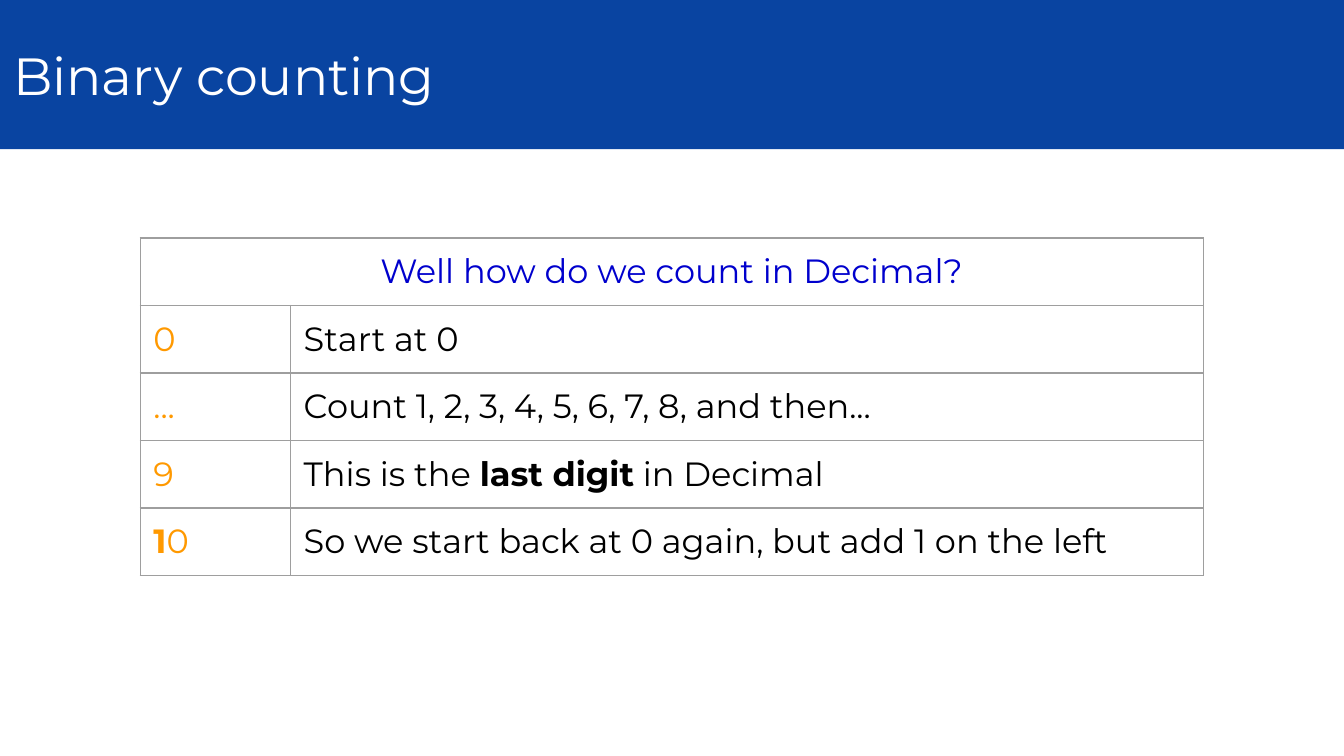
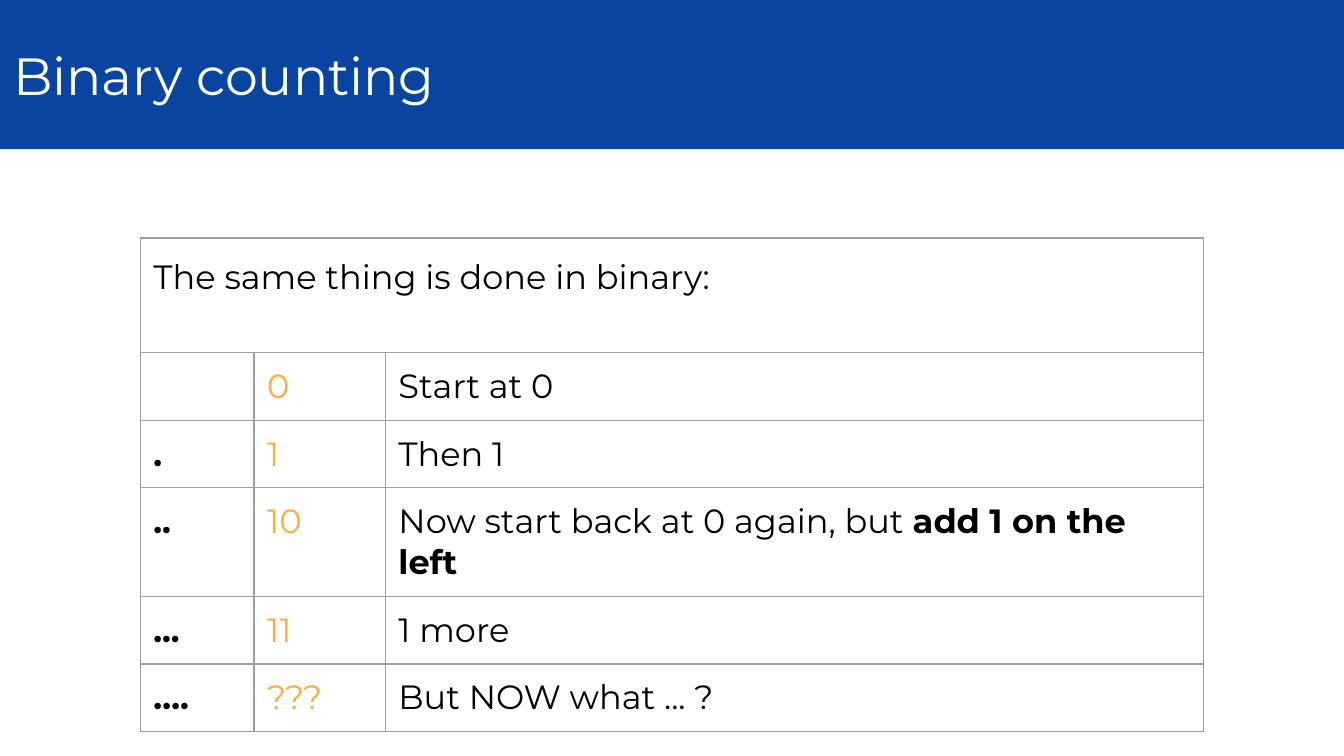
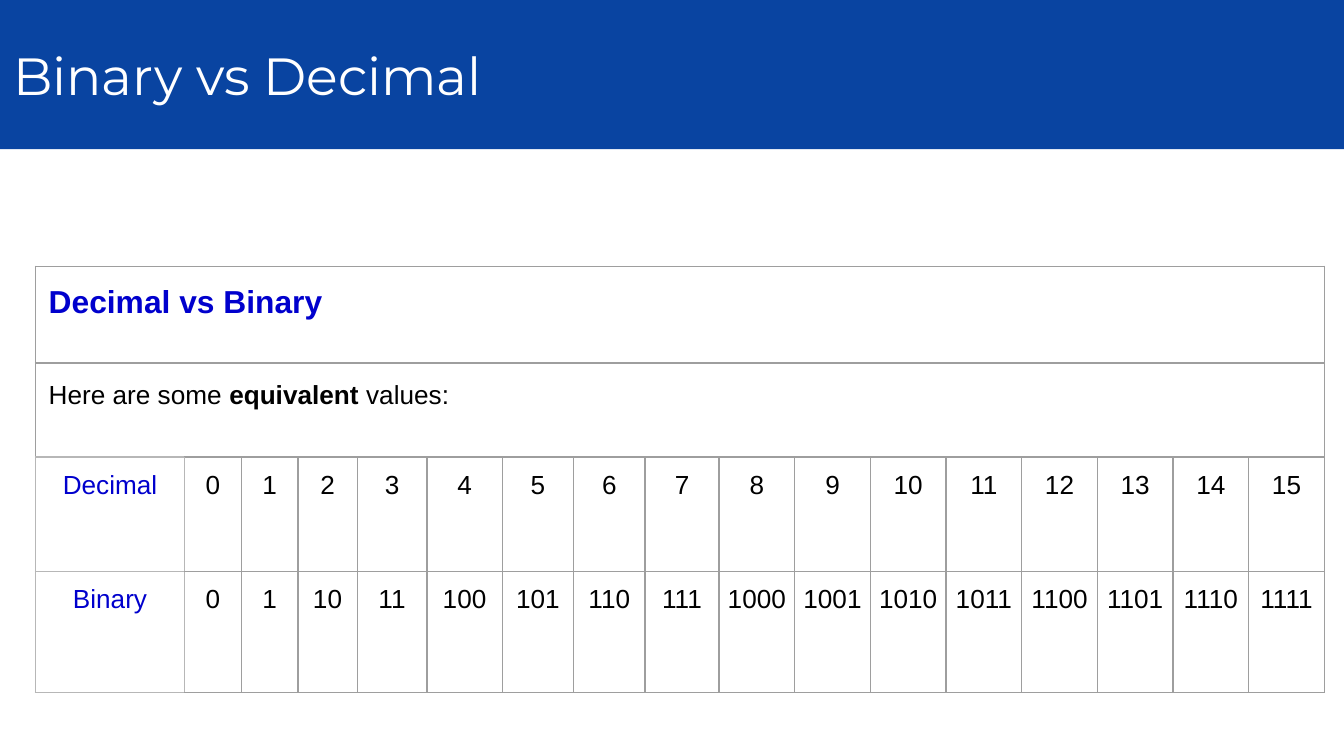
from lxml import etree
from pptx import Presentation
from pptx.dml.color import RGBColor
from pptx.enum.shapes import MSO_SHAPE
from pptx.enum.text import MSO_ANCHOR, PP_ALIGN
from pptx.oxml.ns import qn
from pptx.util import Cm, Pt

RECTANGLE = MSO_SHAPE.RECTANGLE
MIDDLE = MSO_ANCHOR.MIDDLE
LEFT, CENTER = PP_ALIGN.LEFT, PP_ALIGN.CENTER

BAND_BLUE, WHITE, BLACK = "0944A1", "FFFFFF", "000000"
HEADING_BLUE, ORANGE, LIGHT_ORANGE = "0000CD", "FF9900", "FFAB40"
GRAY, LIGHT_GRAY = "9E9E9E", "B7B7B7"
SIDES = ("lnL", "lnR", "lnT", "lnB")
SLIDE_WIDTH, SLIDE_HEIGHT, BAND_HEIGHT = 25.4, 14.29, 2.82
INSET = 0.25
ROW_HEIGHT = 1.07

# A cell is a string, or a list of (text, bold) spans.
DECIMAL_HEADING = "Well how do we count in Decimal?"
DECIMAL_STEPS = [
    ("0", "Start at 0"),
    ("...", "Count 1, 2, 3, 4, 5, 6, 7, 8, and then..."),
    ("9", [("This is the ", False), ("last digit", True), (" in Decimal", False)]),
    ([("1", True), ("0", False)], "So we start back at 0 again, but add 1 on the left"),
]
BINARY_HEADING = "The same thing is done in binary:"
BINARY_STEPS = [
    ("", "0", "Start at 0"),
    (".", "1", "Then 1"),
    ("..", "10", [("Now start back at 0 again, but ", False), ("add 1 on the left", True)]),
    ("...", "11", "1 more"),
    ("….", "???", "But NOW what ... ?"),
]
VALUES_HEADING = "Decimal vs Binary"
VALUES_INTRO = [("Here are some ", False), ("equivalent", True), (" values:", False)]
VALUES = [
    ["Decimal"] + [str(number) for number in range(16)],
    ["Binary"] + [format(number, "b") for number in range(16)],
]
DECIMAL_COLUMNS = [2.84, 17.25]
BINARY_COLUMNS = [2.15, 2.48, 15.46]
VALUE_COLUMNS = [2.82, 1.07, 1.07, 1.12, 1.32, 1.42, 1.35, 1.35, 1.4] + [1.43] * 8
VALUE_ROWS = [1.83, 1.78, 2.16, 2.29]


def rgb(colour):
    return RGBColor.from_string(colour)


def write(holder, content, size=18, font="Montserrat", colour=BLACK, bold=False,
          align=LEFT, spacing=None):
    """Write a string or a list of (text, bold) spans into a shape or a cell."""
    para = holder.text_frame.paragraphs[0]
    para.alignment = align
    if spacing:
        para.line_spacing = spacing
    spans = [(content, bold)] if isinstance(content, str) else content
    for text, is_bold in spans:
        span = para.add_run()
        span.text = text
        span.font.size = Pt(size)
        span.font.name = font
        span.font.bold = is_bold
        span.font.color.rgb = rgb(colour)


def set_insets(holder, side=INSET):
    holder.margin_left = holder.margin_right = Cm(side)
    holder.margin_top = holder.margin_bottom = Cm(INSET)


def set_borders(cell, **changes):
    """Draw the four cell borders in gray, or in the colour given for a side."""
    properties = cell._tc.get_or_add_tcPr()
    for position, side in enumerate(SIDES):
        line = etree.Element(qn("a:" + side), w=str(Pt(0.75)))
        fill = etree.SubElement(line, qn("a:solidFill"))
        etree.SubElement(fill, qn("a:srgbClr"), val=changes.get(side, GRAY))
        properties.insert(position, line)


def add_titled_page(deck, title):
    page = deck.slides.add_slide(deck.slide_layouts[6])
    band = page.shapes.add_shape(RECTANGLE, 0, 0, Cm(SLIDE_WIDTH), Cm(BAND_HEIGHT))
    band.shadow.inherit = False
    band.fill.solid()
    band.fill.fore_color.rgb = rgb(BAND_BLUE)
    band.line.fill.background()
    set_insets(band.text_frame)
    band.text_frame.vertical_anchor = MIDDLE
    write(band, title, size=28, colour=WHITE)
    return page


def add_grid(page, left, top, columns, rows, full_rows=1):
    """Add an unstyled table whose first full_rows rows are merged across."""
    table = page.shapes.add_table(len(rows), len(columns), Cm(left), Cm(top),
                                  Cm(sum(columns)), Cm(sum(rows))).table
    table.first_row = table.horz_banding = False
    for column, width in zip(table.columns, columns):
        column.width = Cm(width)
    for row, height in zip(table.rows, rows):
        row.height = Cm(height)
    for cell in table.iter_cells():
        cell.fill.background()
        set_insets(cell)
    for row in range(full_rows):
        table.cell(row, 0).merge(table.cell(row, len(columns) - 1))
    return table


def add_steps(page, columns, heading_height, steps, formats):
    """Add a table of counting steps, with one text format for each column."""
    rows = [heading_height] + [ROW_HEIGHT] * len(steps)
    table = add_grid(page, 2.65, 4.5, columns, rows)
    for cell in table.iter_cells():
        set_borders(cell)
    for row, step in enumerate(steps, 1):
        for column, content in enumerate(step):
            if content:
                write(table.cell(row, column), content, **formats[column])
    return table


def add_values(page):
    table = add_grid(page, 0.67, 5.03, VALUE_COLUMNS, VALUE_ROWS, full_rows=2)
    for column in range(len(VALUE_COLUMNS)):
        set_borders(table.cell(0, column))
        set_borders(table.cell(1, column), lnB=LIGHT_GRAY)
    write(table.cell(0, 0), VALUES_HEADING, size=17, font="Arial",
          colour=HEADING_BLUE, bold=True, spacing=1.15)
    write(table.cell(1, 0), VALUES_INTRO, size=14, font="Arial", spacing=1.15)
    label_borders = dict.fromkeys(SIDES, LIGHT_GRAY)
    for row, values in enumerate(VALUES, 2):
        for column, value in enumerate(values):
            cell = table.cell(row, column)
            set_insets(cell, side=0)
            borders = {0: label_borders, 1: {"lnL": LIGHT_GRAY}}.get(column, {})
            set_borders(cell, **borders)
            write(cell, value, size=14, font="Arial", align=CENTER,
                  colour=BLACK if column else HEADING_BLUE)


def main():
    deck = Presentation()
    deck.slide_width, deck.slide_height = Cm(SLIDE_WIDTH), Cm(SLIDE_HEIGHT)

    page = add_titled_page(deck, "Binary counting")
    table = add_steps(page, DECIMAL_COLUMNS, ROW_HEIGHT, DECIMAL_STEPS,
                      [{"colour": ORANGE}, {}])
    write(table.cell(0, 0), DECIMAL_HEADING, colour=HEADING_BLUE, align=CENTER)

    page = add_titled_page(deck, "Binary counting")
    table = add_steps(page, BINARY_COLUMNS, 2.17, BINARY_STEPS,
                      [{"bold": True}, {"colour": LIGHT_ORANGE}, {}])
    write(table.cell(0, 0), BINARY_HEADING, spacing=1.15)

    add_values(add_titled_page(deck, "Binary vs Decimal"))
    deck.save("out.pptx")


if __name__ == "__main__":
    main()
